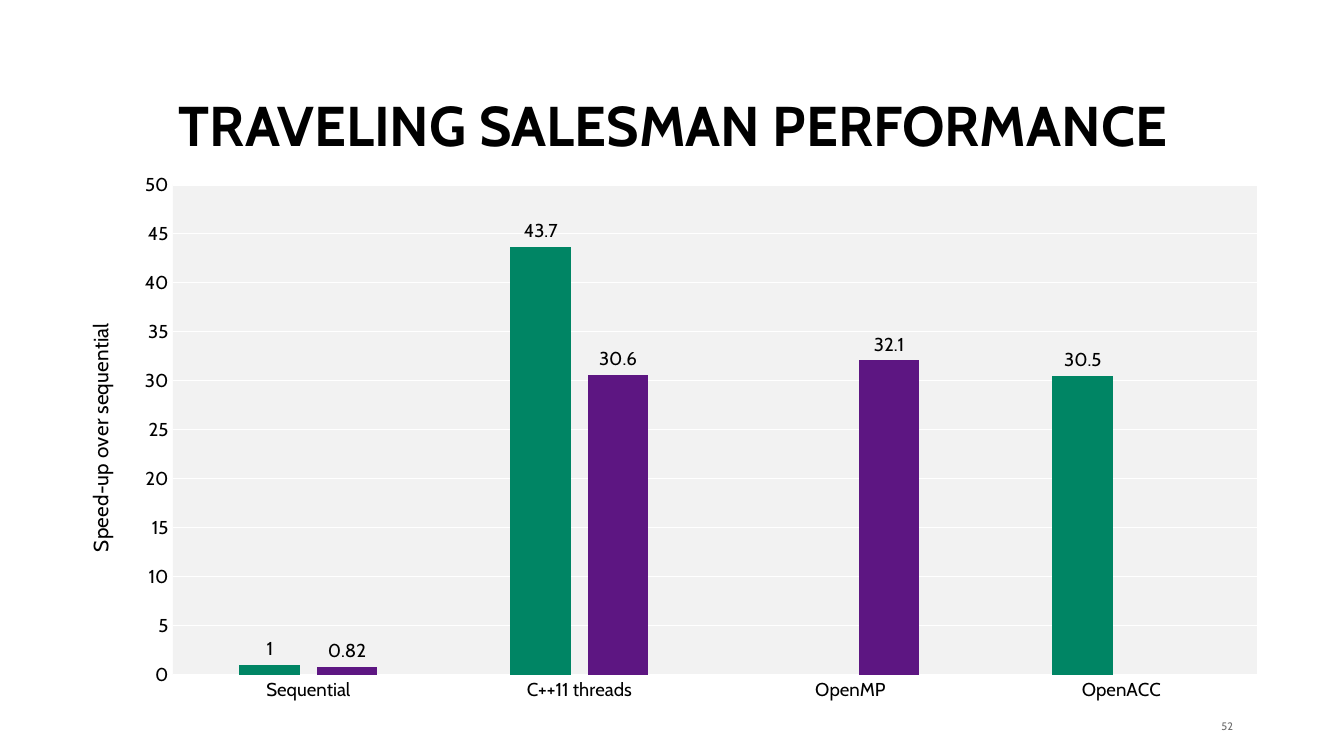
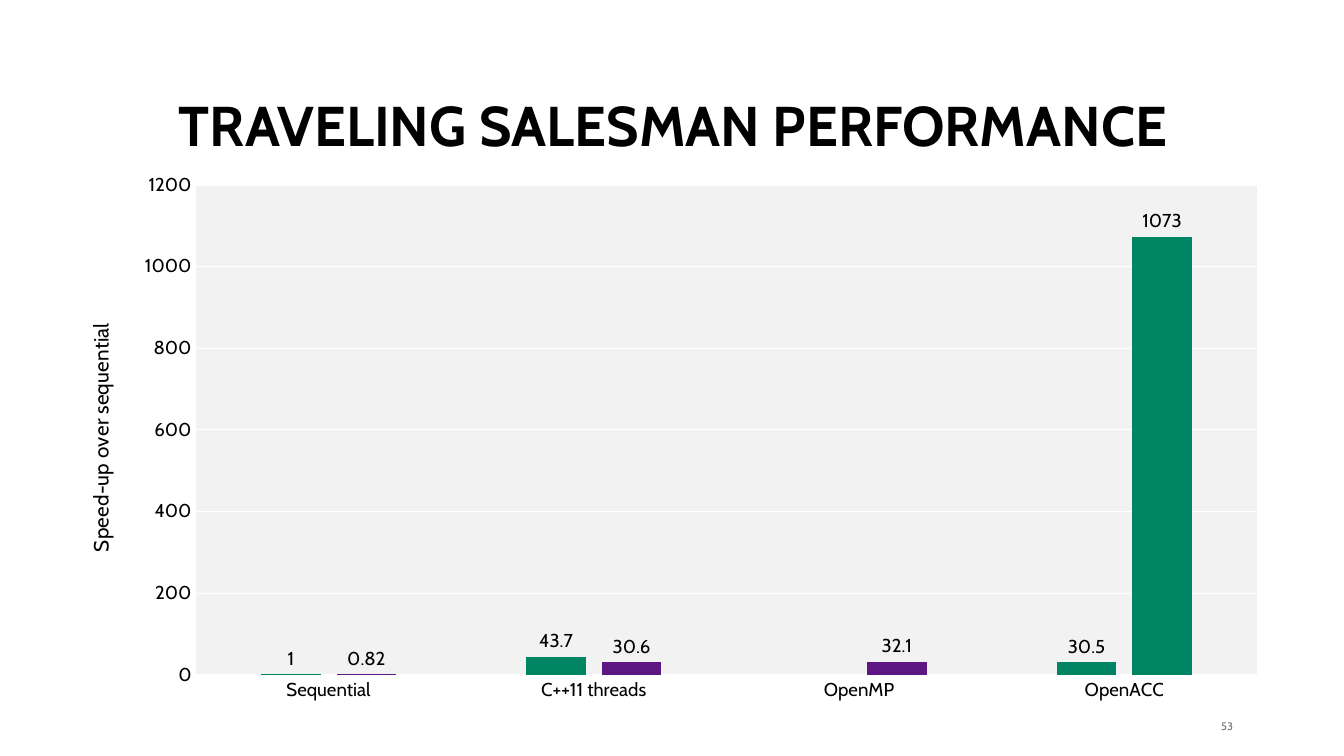
import pptx
import pptx.chart.data
import pptx.dml.color
import pptx.enum.chart
import pptx.enum.text
import pptx.oxml
import pptx.oxml.ns
import pptx.util

TITLE = "TRAVELING SALESMAN PERFORMANCE"
AXIS_TITLE = "Speed-up over sequential"
CATEGORIES = ["Sequential", "C++11 threads", "OpenMP", "OpenACC"]
FIRST_SPEEDUPS = [1, 43.7, None, 30.5]
SECOND_SPEEDUPS = [0.82, 30.6, 32.1]
SLIDES = [
    {"number": "52", "openacc": None, "top": 50, "step": 5, "plot_left": 173},
    {"number": "53", "openacc": 1073, "top": 1200, "step": 200, "plot_left": 196},
]

FONT = "Cabin"
BLACK, WHITE, GREY, PLOT_GREY = "000000", "FFFFFF", "6E6E6E", "F2F2F2"
GREEN, PURPLE = "008564", "5D1682"

# Boxes are left, top, width, height in px
SLIDE_SIZE = (1344, 756)
TITLE_BOX = (62, 91, 1222, 73)
NUMBER_BOX = (1194, 718, 39, 17)
CHART_BOX = (64, 162, 1219, 550)
PLOT_TOP, PLOT_RIGHT, PLOT_BOTTOM = 185, 1257, 675


def px(length):
    return pptx.util.Emu(round(length * 914400 / 112))


def rgb(value):
    return pptx.dml.color.RGBColor.from_string(value)


def paint(fill, color):
    fill.solid()
    fill.fore_color.rgb = rgb(color)


def style_font(font, size, color=BLACK, bold=False):
    values = {"name": FONT, "size": pptx.util.Pt(size), "bold": bold}
    for key, value in values.items():
        setattr(font, key, value)
    font.color.rgb = rgb(color)


def style_line(line, color):
    line.color.rgb = rgb(color)
    line.width = pptx.util.Pt(0.75)


def add_text(slide, box, text, frame_values, paragraph_values, **font_values):
    frame = slide.shapes.add_textbox(*map(px, box)).text_frame
    for key, value in frame_values.items():
        setattr(frame, key, value)
    paragraph = frame.paragraphs[0]
    for key, value in paragraph_values.items():
        setattr(paragraph, key, value)
    run = paragraph.add_run()
    run.text = text
    style_font(run.font, **font_values)


def format_plot_area(chart, plot_left):
    """Fix the inner plot area at its place and give it a background."""
    left, top, width, height = CHART_BOX
    fractions = {
        "x": (plot_left - left) / width,
        "y": (PLOT_TOP - top) / height,
        "w": (PLOT_RIGHT - plot_left) / width,
        "h": (PLOT_BOTTOM - PLOT_TOP) / height,
    }
    sizes = "".join(f'<c:{key} val="{value:.4f}"/>' for key, value in fractions.items())
    namespaces = pptx.oxml.ns.nsdecls("c", "a")
    area = chart.plots[0]._element.getparent()
    for layout in area.findall(pptx.oxml.ns.qn("c:layout")):
        area.remove(layout)
    area.insert(0, pptx.oxml.parse_xml(
        f'<c:layout {namespaces}><c:manualLayout><c:layoutTarget val="inner"/>'
        f'<c:xMode val="edge"/><c:yMode val="edge"/>{sizes}</c:manualLayout></c:layout>'))
    area.append(pptx.oxml.parse_xml(
        f'<c:spPr {namespaces}><a:solidFill><a:srgbClr val="{PLOT_GREY}"/></a:solidFill>'
        '<a:ln><a:noFill/></a:ln></c:spPr>'))


def format_axes(chart, top, step):
    speedup, category = chart.value_axis, chart.category_axis
    for axis in (speedup, category):
        axis.major_tick_mark = axis.minor_tick_mark = pptx.enum.chart.XL_TICK_MARK.NONE
        style_font(axis.tick_labels.font, 12)
    category.has_major_gridlines = False
    style_line(category.format.line, WHITE)

    scale = {"minimum_scale": 0, "maximum_scale": top, "major_unit": step,
             "has_major_gridlines": True}
    for key, value in scale.items():
        setattr(speedup, key, value)
    speedup.format.line.fill.background()
    style_line(speedup.major_gridlines.format.line, WHITE)
    caption = speedup.axis_title.text_frame.paragraphs[0].add_run()
    caption.text = AXIS_TITLE
    style_font(caption.font, 13.3)


def add_speedup_chart(slide, openacc, top, step, plot_left):
    data = pptx.chart.data.CategoryChartData()
    data.categories = CATEGORIES
    data.add_series("Series 1", FIRST_SPEEDUPS)
    data.add_series("Series 2", SECOND_SPEEDUPS + [openacc])
    chart = slide.shapes.add_chart(
        pptx.enum.chart.XL_CHART_TYPE.COLUMN_CLUSTERED, *map(px, CHART_BOX), data).chart
    chart.has_title = chart.has_legend = False
    style_font(chart.font, 10, WHITE)

    columns = chart.plots[0]
    for key, value in {"gap_width": 219, "overlap": -27, "vary_by_categories": False}.items():
        setattr(columns, key, value)
    for series, color in zip(columns.series, (GREEN, PURPLE)):
        paint(series.format.fill, color)
        series.invert_if_negative = False
        labels = series.data_labels
        labels.show_value = True
        labels.position = pptx.enum.chart.XL_LABEL_POSITION.OUTSIDE_END
        style_font(labels.font, 12)
    paint(columns.series[1].points[CATEGORIES.index("OpenACC")].format.fill, GREEN)

    format_axes(chart, top, step)
    format_plot_area(chart, plot_left)


def main():
    deck = pptx.Presentation()
    deck.slide_width, deck.slide_height = map(px, SLIDE_SIZE)
    anchor, align = pptx.enum.text.MSO_ANCHOR, pptx.enum.text.PP_ALIGN
    number_frame = dict.fromkeys(
        ("margin_left", "margin_top", "margin_right", "margin_bottom"), 0)
    number_frame |= {"word_wrap": True, "vertical_anchor": anchor.MIDDLE}
    for content in SLIDES:
        slide = deck.slides.add_slide(deck.slide_layouts[6])
        add_text(slide, NUMBER_BOX, content["number"], number_frame,
                 {"alignment": align.RIGHT}, size=7, color=GREY)
        add_text(slide, TITLE_BOX, TITLE,
                 {"word_wrap": True, "vertical_anchor": anchor.BOTTOM},
                 {"alignment": align.CENTER, "line_spacing": 0.9}, size=36, bold=True)
        add_speedup_chart(slide, content["openacc"], content["top"],
                          content["step"], content["plot_left"])
    deck.save("out.pptx")


if __name__ == "__main__":
    main()
